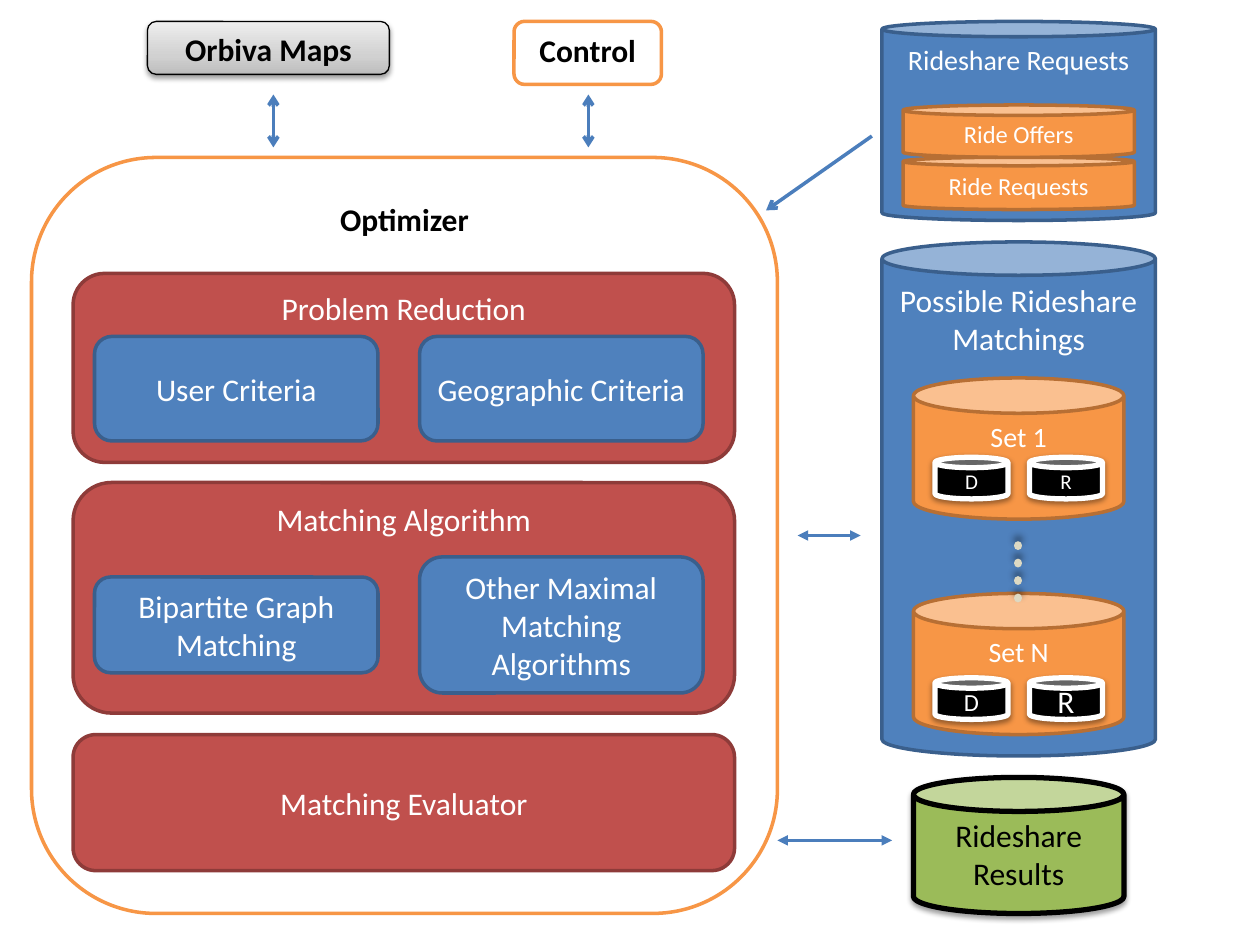
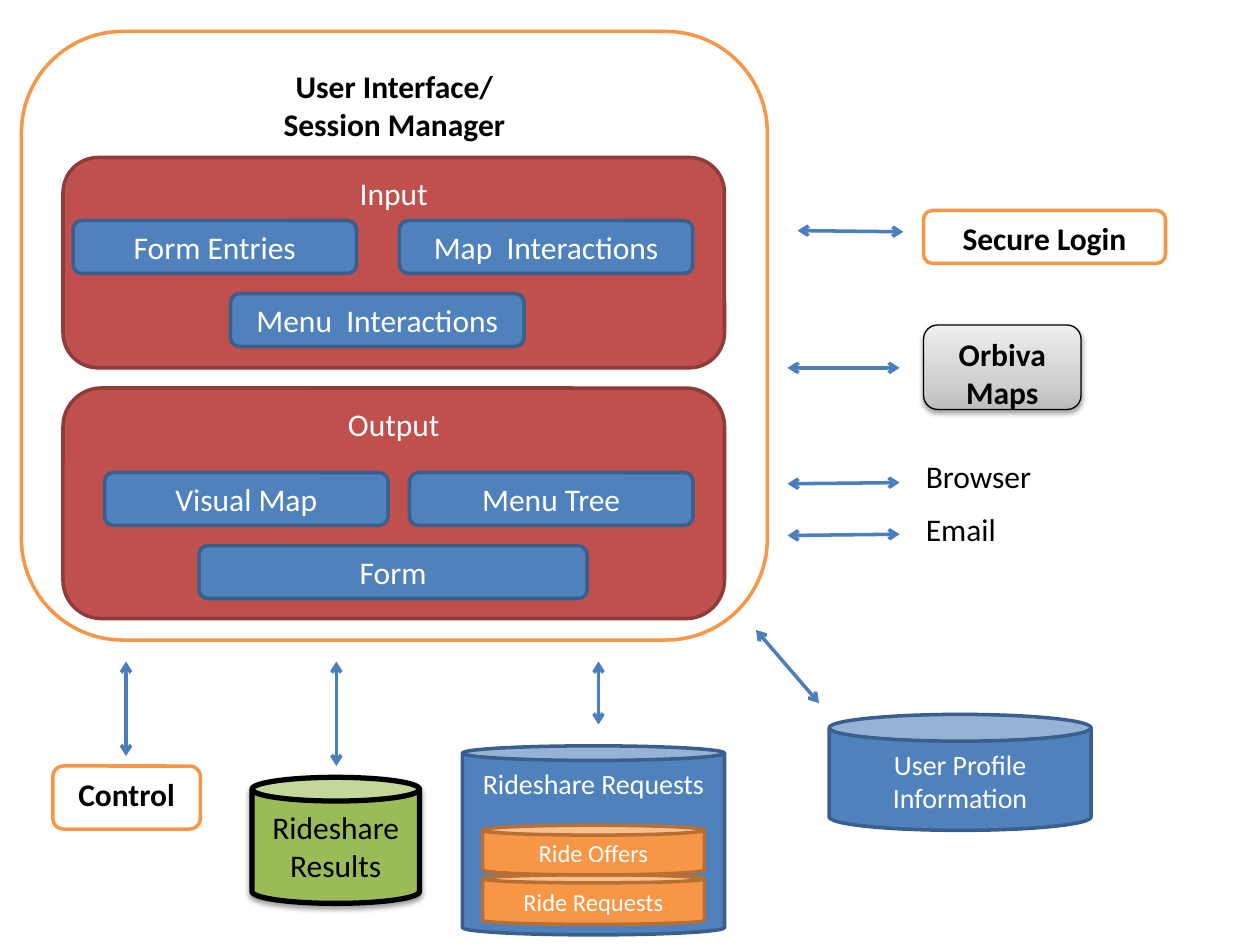
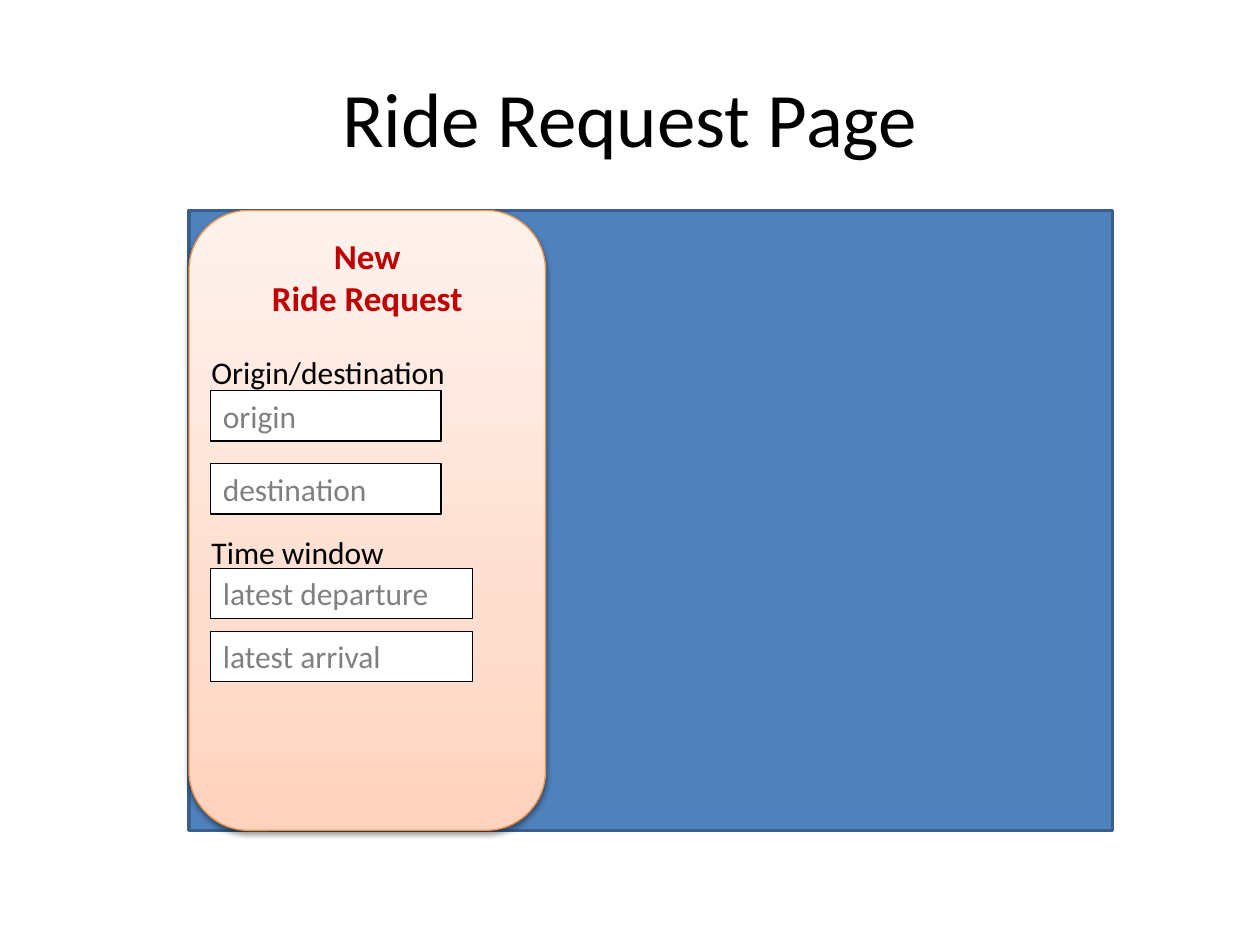
from lxml import etree
from pptx import Presentation
from pptx.dml.color import RGBColor
from pptx.enum.dml import MSO_LINE
from pptx.enum.shapes import MSO_CONNECTOR, MSO_SHAPE
from pptx.enum.text import MSO_ANCHOR, PP_ALIGN
from pptx.oxml.ns import qn
from pptx.util import Inches, Pt

ROUND, CAN, RECT = MSO_SHAPE.ROUNDED_RECTANGLE, MSO_SHAPE.CAN, MSO_SHAPE.RECTANGLE
TOP, MIDDLE = MSO_ANCHOR.TOP, MSO_ANCHOR.MIDDLE
LEFT, CENTER = PP_ALIGN.LEFT, PP_ALIGN.CENTER
STRAIGHT, DOTTED = MSO_CONNECTOR.STRAIGHT, MSO_LINE.ROUND_DOT

FONT = "Calibri"
WHITE, BLACK = RGBColor(255, 255, 255), RGBColor(0, 0, 0)
BLUE, BLUE_EDGE = RGBColor(0x4F, 0x81, 0xBD), RGBColor(0x3A, 0x5F, 0x8C)
RED, RED_EDGE = RGBColor(0xC0, 0x50, 0x4D), RGBColor(0x8E, 0x3B, 0x39)
ORANGE, ORANGE_EDGE = RGBColor(0xF7, 0x96, 0x46), RGBColor(0xB7, 0x6F, 0x34)
PANEL_EDGE = RGBColor(0xF6, 0x92, 0x40)
GREEN = RGBColor(0x9B, 0xBB, 0x59)
ARROW_BLUE = RGBColor(0x4B, 0x7E, 0xBC)
SAND = RGBColor(0xDD, 0xD9, 0xC3)
DARK_RED = RGBColor(0xC0, 0, 0)
GRAY = RGBColor(0x80, 0x80, 0x80)
# Gradients run from the bottom up
GRAY_FADE = [(0, "BDBDBD"), (35, "D1D1D1"), (100, "EEEEEE")]
PEACH_FADE = [(0, "FFD2BD"), (35, "FFDED0"), (100, "FFF2ED")]
# Shadows: opacity %, blur pt, distance pt, direction in degrees
SOFT_SHADOW = (38, 3.1, 1.6, 90)
DOT_SHADOW = (40, 4, 3, 270)


def style(kind, fill, edge, width=2, size=18, color=WHITE, bold=False,
          anchor=MIDDLE, align=CENTER, shadow=None):
    return dict(kind=kind, fill=fill, edge=edge, width=width, size=size, color=color,
                bold=bold, anchor=anchor, align=align, shadow=shadow)


STYLES = {
    "module": style(ROUND, WHITE, ORANGE, color=BLACK, bold=True, anchor=TOP),
    "stage": style(ROUND, RED, RED_EDGE, anchor=TOP),
    "step": style(ROUND, BLUE, BLUE_EDGE),
    "service": style(ROUND, GRAY_FADE, BLACK, 0.75, color=BLACK, bold=True,
                     anchor=TOP, shadow=SOFT_SHADOW),
    "store": style(CAN, BLUE, BLUE_EDGE, size=16, anchor=TOP),
    "part": style(CAN, ORANGE, ORANGE_EDGE, size=14),
    "set": style(CAN, ORANGE, ORANGE_EDGE, size=16, anchor=TOP),
    "member": style(CAN, BLACK, WHITE, 3, size=12, shadow=SOFT_SHADOW),
    "results": style(CAN, GREEN, BLACK, 3, color=BLACK, shadow=SOFT_SHADOW),
    "canvas": style(RECT, BLUE, BLUE_EDGE),
    "form": style(ROUND, PEACH_FADE, PANEL_EDGE, 0.75, size=20, color=DARK_RED,
                  bold=True, anchor=TOP, shadow=SOFT_SHADOW),
    "field": style(RECT, WHITE, BLACK, 0.75, color=GRAY, anchor=TOP, align=LEFT),
}

# Content: style, left, top, width, height, text, changes to the style
OPTIMIZER = [
    ("results", 7.25, 6.17, 1.67, 1.08, "Rideshare\nResults", {}),
    ("module", 0.25, 1.25, 5.92, 6, "Optimizer", {}),
    ("stage", 0.58, 2.17, 5.25, 1.5, "Problem Reduction", {}),
    ("step", 0.75, 2.67, 2.25, 0.83, "User Criteria", {}),
    ("step", 3.33, 2.67, 2.25, 0.83, "Geographic Criteria", {}),
    ("stage", 0.58, 3.83, 5.25, 1.83, "Matching Algorithm", {}),
    ("step", 0.75, 4.58, 2.25, 0.76, "Bipartite Graph Matching", {}),
    ("step", 3.33, 4.42, 2.25, 1.08, "Other Maximal Matching Algorithms", {}),
    ("stage", 0.58, 5.83, 5.25, 1.08, "Matching Evaluator", {"anchor": MIDDLE}),
    ("store", 7, 1.92, 2.17, 4.08, "Possible Rideshare Matchings",
     {"size": 18, "adjust": 0.122}),
    ("module", 4.08, 0.17, 1.17, 0.5, "Control", {}),
    ("service", 1.17, 0.17, 1.92, 0.42, "Orbiva Maps", {}),
]
# Label, top, top of the members, members with their text sizes
MATCHING_SETS = [
    ("Set 1", 3, 3.63, [("D", 12), ("R", 12)]),
    ("Set N", 4.71, 5.38, [("D", 14), ("R", 18)]),
]
# Start x, y, end x, y, head, tail
OPTIMIZER_ARROWS = [
    (6.92, 1.08, 6.08, 1.67, None, "arrow"),
    (6.83, 4.25, 6.33, 4.25, "triangle", "triangle"),
    (7.08, 6.67, 6.17, 6.67, "triangle", "triangle"),
    (4.67, 0.75, 4.67, 1.17, "arrow", "arrow"),
    (2.17, 0.75, 2.17, 1.17, "arrow", "arrow"),
]

INTERFACE = [
    ("module", 0.17, 0.25, 5.92, 4.83, "User Interface/\nSession Manager", {}),
    ("stage", 0.5, 1.25, 5.25, 1.67, "Input", {}),
    ("step", 0.58, 1.75, 2.25, 0.42, "Form Entries", {}),
    ("step", 3.17, 1.75, 2.33, 0.42, "Map  Interactions", {}),
    ("step", 1.83, 2.33, 2.33, 0.42, "Menu  Interactions", {}),
    ("stage", 0.5, 3.08, 5.25, 1.83, "Output", {}),
    ("step", 0.83, 3.75, 2.25, 0.42, "Visual Map", {}),
    ("step", 3.25, 3.75, 2.25, 0.42, "Menu Tree", {}),
    ("step", 1.58, 4.33, 3.08, 0.42, "Form", {}),
    ("results", 2, 6.17, 1.33, 1, "Rideshare\nResults", {"adjust": 0.188}),
    ("module", 0.42, 6.08, 1.17, 0.5, "Control", {}),
    ("service", 7.33, 2.58, 1.25, 0.67, "Orbiva Maps", {}),
    ("store", 6.58, 5.67, 2.08, 0.92, "User Profile Information", {"adjust": 0.231}),
    ("module", 7.33, 1.67, 1.92, 0.42, "Secure Login", {}),
]
INTERFACE_LABELS = [(7.25, 3.58, 1.04, "Browser"), (7.25, 4, 0.76, "Email")]
INTERFACE_ARROWS = [
    (4.75, 5.75, 4.75, 5.25),
    (2.67, 6.08, 2.67, 5.25),
    (1, 5.25, 1, 6),
    (6.5, 5.58, 6, 5),
    (7.17, 1.84, 6.33, 1.83),
    (6.25, 2.92, 7.14, 2.92),
    (6.25, 3.84, 7.14, 3.83),
    (6.25, 4.25, 7.14, 4.24),
]

REQUEST_FORM = [
    ("canvas", 1.5, 1.67, 7.33, 4.92, "", {}),
    ("form", 1.5, 1.67, 2.83, 4.92, "New\nRide Request", {}),
    ("field", 1.67, 3.1, 1.83, 0.4, "origin", {}),
    ("field", 1.67, 3.68, 1.83, 0.4, "destination", {}),
    ("field", 1.67, 4.51, 2.08, 0.4, "latest departure", {}),
    ("field", 1.67, 5.01, 2.08, 0.4, "latest arrival", {}),
]
FORM_LABELS = [(1.58, 4.18, 2.08, "Time window"), (1.58, 2.75, 2.67, "Origin/destination")]


def write(frame, text, size, color, bold=False, align=LEFT, anchor=TOP, wrap=True):
    frame.word_wrap = wrap
    frame.vertical_anchor = anchor
    for index, line in enumerate(text.split("\n")):
        para = frame.paragraphs[0] if index == 0 else frame.add_paragraph()
        para.alignment = align
        span = para.add_run()
        span.text = line
        span.font.name, span.font.size, span.font.bold = FONT, Pt(size), bold
        span.font.color.rgb = color


def add_color(parent, value, opacity=100):
    color = etree.SubElement(parent, qn("a:srgbClr"), val=value)
    if opacity < 100:
        etree.SubElement(color, qn("a:alpha"), val=str(opacity * 1000))


def cast_shadow(effects, shadow):
    opacity, blur, distance, direction = shadow
    outer = etree.SubElement(effects, qn("a:outerShdw"), blurRad=str(Pt(blur)),
                             dist=str(Pt(distance)), dir=str(direction * 60000),
                             rotWithShape="0")
    add_color(outer, "000000", opacity)


def paint_fade(shape, stops):
    shape.fill.gradient()
    shape.fill.gradient_angle = 90
    stop_list = shape.fill._xPr.find(qn("a:gradFill")).find(qn("a:gsLst"))
    for stop in list(stop_list):
        stop_list.remove(stop)
    for position, value in stops:
        add_color(etree.SubElement(stop_list, qn("a:gs"), pos=str(position * 1000)), value)


def add_box(page, name, left, top, width, height, text, changes):
    look = {**STYLES[name], **changes}
    box = page.shapes.add_shape(look["kind"], *map(Inches, (left, top, width, height)))
    if "adjust" in look:
        box.adjustments[0] = look["adjust"]
    if isinstance(look["fill"], list):
        paint_fade(box, look["fill"])
    else:
        box.fill.solid()
        box.fill.fore_color.rgb = look["fill"]
    box.line.color.rgb, box.line.width = look["edge"], Pt(look["width"])
    box.shadow.inherit = False
    if look["shadow"]:
        cast_shadow(box._element.spPr.find(qn("a:effectLst")), look["shadow"])
    if text:
        write(box.text_frame, text, look["size"], look["color"], look["bold"],
              look["align"], look["anchor"])


def add_label(page, left, top, width, text, wrap):
    box = page.shapes.add_textbox(*map(Inches, (left, top, width, 0.4)))
    write(box.text_frame, text, 18, BLACK, wrap=wrap)


def add_line(page, x1, y1, x2, y2, color=ARROW_BLUE, width=2):
    line = page.shapes.add_connector(STRAIGHT, *map(Inches, (x1, y1, x2, y2)))
    line.line.color.rgb, line.line.width = color, Pt(width)
    etree.SubElement(line._element.spPr, qn("a:effectLst"))
    return line


def add_arrow(page, x1, y1, x2, y2, head="arrow", tail="arrow"):
    outline = add_line(page, x1, y1, x2, y2).line._get_or_add_ln()
    for tag, end in (("a:headEnd", head), ("a:tailEnd", tail)):
        if end:
            etree.SubElement(outline, qn(tag), type=end)


def add_request_store(page, left, top, width, height):
    """A store with two parts, laid out in shares of its own size."""
    add_box(page, "store", left, top, width, height, "Rideshare Requests", {"adjust": 0.077})
    for text, share, adjust in (("Ride Requests", 0.682, 0.164), ("Ride Offers", 0.42, 0.199)):
        add_box(page, "part", left + 0.077 * width, top + share * height,
                0.846 * width, 0.263 * height, text, {"adjust": adjust})


deck = Presentation()
deck.slide_width, deck.slide_height = Inches(10), Inches(7.5)
blank = deck.slide_layouts[6]

# Slide 1: optimizer
page = deck.slides.add_slide(blank)
for item in OPTIMIZER:
    add_box(page, *item)
add_request_store(page, 7, 0.17, 2.17, 1.58)
for label, top, member_top, members in MATCHING_SETS:
    add_box(page, "set", 7.25, top, 1.67, 1.12, label, {})
    for column, (letter, size) in enumerate(members):
        add_box(page, "member", 7.42 + 0.75 * column, member_top, 0.58, 0.33,
                letter, {"size": size})
dots = add_line(page, 8.08, 4.33, 8.08, 4.75, SAND, 5)
dots.line.dash_style = DOTTED
dots.line._get_or_add_ln().set("cap", "rnd")
cast_shadow(dots._element.spPr.find(qn("a:effectLst")), DOT_SHADOW)
for arrow in OPTIMIZER_ARROWS:
    add_arrow(page, *arrow)

# Slide 2: user interface
page = deck.slides.add_slide(blank)
for item in INTERFACE:
    add_box(page, *item)
add_request_store(page, 3.67, 5.92, 2.08, 1.5)
for label in INTERFACE_LABELS:
    add_label(page, *label, wrap=False)
for arrow in INTERFACE_ARROWS:
    add_arrow(page, *arrow)

# Slide 3: request form
page = deck.slides.add_slide(blank)
title = page.shapes.add_textbox(*map(Inches, (0.5, 0.3, 9, 1.25)))
write(title.text_frame, "Ride Request Page", 44, BLACK, align=CENTER, anchor=MIDDLE)
for item in REQUEST_FORM:
    add_box(page, *item)
for label in FORM_LABELS:
    add_label(page, *label, wrap=True)

deck.save("out.pptx")
